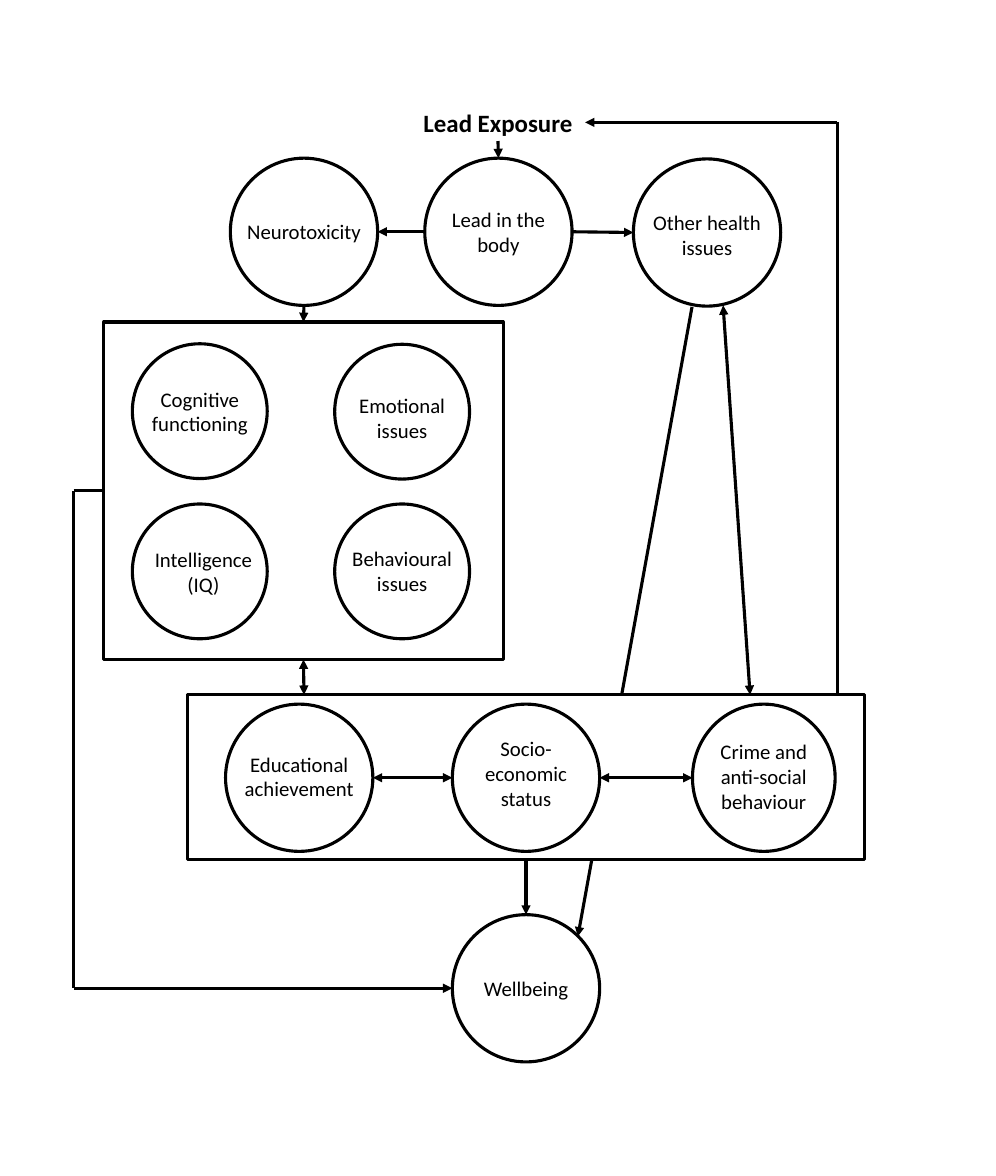
from lxml.etree import SubElement
from pptx import Presentation
from pptx.dml.color import RGBColor
from pptx.enum.shapes import MSO_CONNECTOR, MSO_SHAPE
from pptx.enum.text import MSO_ANCHOR, MSO_AUTO_SIZE, PP_ALIGN
from pptx.oxml.ns import qn
from pptx.util import Pt

BLACK = "000000"
WHITE = "FFFFFF"
FONT = "Calibri"
TOP, LEFT, BOTTOM, RIGHT = range(4)


def color(value):
    """Turn a hex string into a colour."""
    return RGBColor.from_string(value)


def outline(line):
    """Give a line the weight and colour of the diagram."""
    line.width = Pt(3)
    line.color.rgb = color(BLACK)


def add_outlined(slide, kind, left, top, width, height, fill=None):
    """Add a black-outlined shape, filled or open."""
    shape = slide.shapes.add_shape(kind, Pt(left), Pt(top), Pt(width), Pt(height))
    shape.shadow.inherit = False
    if fill:
        shape.fill.solid()
        shape.fill.fore_color.rgb = color(fill)
    else:
        shape.fill.background()
    outline(shape.line)
    return shape


def add_label(slide, text, x, y, width, lines=1, size=20, bold=False):
    """Add centred text around a point."""
    height = 7.2 + 1.22 * size * lines
    label = slide.shapes.add_textbox(
        Pt(x - width / 2), Pt(y - height / 2), Pt(width), Pt(height))
    frame = label.text_frame
    frame.word_wrap = True
    frame.auto_size = MSO_AUTO_SIZE.SHAPE_TO_FIT_TEXT
    frame.vertical_anchor = MSO_ANCHOR.TOP
    paragraph = frame.paragraphs[0]
    paragraph.alignment = PP_ALIGN.CENTER
    run = paragraph.add_run()
    run.text = text
    run.font.name = FONT
    run.font.size = Pt(size)
    run.font.bold = bold
    run.font.color.rgb = color(BLACK)


def add_factor(slide, text, x, y, lines=2, diameter=142, label_width=130,
               dx=0, dy=0, width=None):
    """Add a circle around a point with its label."""
    width = width or diameter
    circle = add_outlined(slide, MSO_SHAPE.OVAL, x - width / 2, y - diameter / 2,
                          width, diameter, WHITE)
    add_label(slide, text, x + dx, y + dy, label_width, lines)
    return circle


def side_point(shape, side):
    """Return the middle of one side of a shape."""
    across = {LEFT: 0, RIGHT: 1}.get(side, 0.5)
    down = {TOP: 0, BOTTOM: 1}.get(side, 0.5)
    return (int(shape.left + across * shape.width),
            int(shape.top + down * shape.height))


def locate(end):
    """Resolve a point or a (shape, side) pair."""
    anchor, other = end
    if hasattr(anchor, "shape_id"):
        return side_point(anchor, other)
    return Pt(anchor), Pt(other)


def is_box_side(end):
    """Tell whether a link end sits on a rectangle."""
    return (hasattr(end[0], "shape_id")
            and end[0].auto_shape_type == MSO_SHAPE.RECTANGLE)


def add_link(slide, start, end, heads=("tailEnd",)):
    """Draw a straight link with the given arrowheads."""
    link = slide.shapes.add_connector(
        MSO_CONNECTOR.STRAIGHT, *locate(start), *locate(end))
    if is_box_side(start):
        link.begin_connect(*start)
    if is_box_side(end):
        link.end_connect(*end)
    outline(link.line)
    line_xml = link.line._get_or_add_ln()
    for head in heads:
        SubElement(line_xml, qn(f"a:{head}"), type="triangle")
    SubElement(link._element.spPr, qn("a:effectLst"))


def main():
    """Build the lead exposure diagram."""
    deck = Presentation()
    deck.slide_width, deck.slide_height = Pt(960), Pt(1134)
    slide = deck.slides.add_slide(deck.slide_layouts[6])
    both = ("headEnd", "tailEnd")
    plain = ()

    add_link(slide, (667, 296), (557, 903))
    effects = add_outlined(slide, MSO_SHAPE.RECTANGLE, 100, 310.5, 385, 325.5)
    outcomes = add_outlined(slide, MSO_SHAPE.RECTANGLE, 181, 670, 652, 158.5, WHITE)

    add_label(slide, "Lead Exposure", 480, 118, 288, size=24, bold=True)
    neurotoxicity = add_factor(slide, "Neurotoxicity", 293, 223.5, lines=1,
                               label_width=193)
    body = add_factor(slide, "Lead in the body", 480.4, 223.5, label_width=146)
    other_health = add_factor(slide, "Other health issues", 681.5, 224.2,
                              label_width=142, dy=2.3)

    left, right, upper, lower = 192.6, 387.6, 396.5, 551
    for text, x, y, dx, dy, label_width in (
            ("Cognitive functioning", left, upper, 0, 0.5, 168),
            ("Emotional issues", right, upper + 0.5, 0, 6, 130),
            ("Intelligence (IQ)", left, lower, 3.5, 1, 130),
            ("Behavioural issues", right, lower, 0, 0, 130)):
        add_factor(slide, text, x, y, diameter=130, label_width=label_width,
                   dx=dx, dy=dy)

    education = add_factor(slide, "Educational achievement", 288.4, 750, dy=-1)
    status = add_factor(slide, "Socio-economic status", 507, 750, lines=3, dy=-3.5)
    crime = add_factor(slide, "Crime and anti-social behaviour", 736.2, 750,
                       lines=3, width=137.5, dy=-1)
    wellbeing = add_factor(slide, "Wellbeing", 507, 953, lines=1)

    add_link(slide, (480, 136), (body, TOP))
    add_link(slide, (body, LEFT), (neurotoxicity, RIGHT))
    add_link(slide, (body, RIGHT), (other_health, LEFT))
    add_link(slide, (neurotoxicity, BOTTOM), (effects, TOP))
    add_link(slide, (effects, BOTTOM), (293, 670), both)
    add_link(slide, (697, 294.5), (723, 670), both)
    add_link(slide, (status, LEFT), (education, RIGHT), both)
    add_link(slide, (crime, LEFT), (status, RIGHT), both)
    add_link(slide, (outcomes, BOTTOM), (wellbeing, TOP))

    feedback_x, exposure_y = 807, 118
    add_link(slide, (feedback_x, 670), (feedback_x, exposure_y), plain)
    add_link(slide, (feedback_x, exposure_y), (564, exposure_y))

    bypass_x, effects_y, wellbeing_y = 71, 473.25, 953
    add_link(slide, (bypass_x, effects_y), (effects, LEFT), plain)
    add_link(slide, (bypass_x, effects_y), (bypass_x, wellbeing_y), plain)
    add_link(slide, (bypass_x, wellbeing_y), (wellbeing, LEFT))

    deck.save("out.pptx")


if __name__ == "__main__":
    main()
